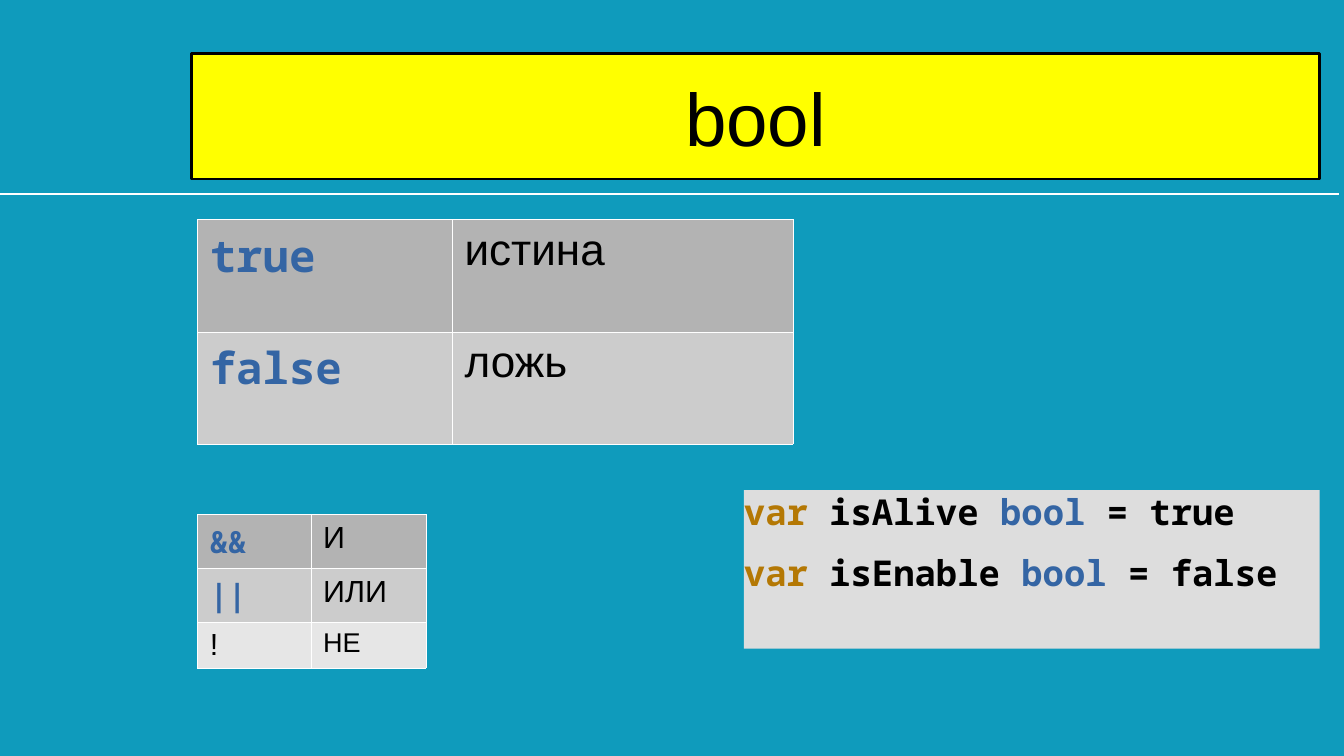
"""Build the slide about the bool type."""
from lxml.etree import SubElement
from pptx import Presentation
from pptx.dml.color import RGBColor
from pptx.enum.shapes import MSO_CONNECTOR
from pptx.enum.text import MSO_ANCHOR, MSO_AUTO_SIZE, PP_ALIGN
from pptx.oxml.ns import qn
from pptx.util import Inches, Pt

COLORS = {
    "back": "0F9BBC", "title": "FFFF00", "code": "DDDDDD", "white": "FFFFFF",
    "black": "000000", "blue": "3465A4", "orange": "B47804",
}
ROW_FILLS = ["B3B3B3", "CCCCCC", "E6E6E6"]
MONO, SANS = "Noto Sans Mono", "Arial"


def add_run(p, text, color, **formats):
    r = p.add_run()
    r.text = text
    r.font.color.rgb = RGBColor.from_string(COLORS[color])
    for name, value in formats.items():
        setattr(r.font, name, value)


def set_fill(sp, color):
    sp.fill.solid()
    sp.fill.fore_color.rgb = RGBColor.from_string(color)


prs = Presentation()
prs.slide_width, prs.slide_height = Inches(11.02), Inches(6.2)
s = prs.slides.add_slide(prs.slide_layouts[1])
set_fill(s.background, COLORS["back"])

rule = s.shapes.add_connector(
    MSO_CONNECTOR.STRAIGHT, 0, Inches(1.59), Inches(10.98), Inches(1.59))
rule.line.color.rgb = RGBColor.from_string(COLORS["white"])
rule.line.width = Pt(1.5)
SubElement(rule._element.spPr, qn("a:effectLst"))

title, body = s.shapes.title, s.placeholders[1]
for sp, box, fill, anchor in [
    (title, (1.57, 0.44, 9.25, 1.03), "title", MSO_ANCHOR.MIDDLE),
    (body, (6.1, 4.02, 4.72, 1.3), "code", MSO_ANCHOR.TOP),
]:
    sp.left, sp.top, sp.width, sp.height = map(Inches, box)
    set_fill(sp, COLORS[fill])
    formats = {"margin_left": 0, "margin_top": 0, "margin_right": 0, "margin_bottom": 0,
               "word_wrap": True, "auto_size": MSO_AUTO_SIZE.NONE, "vertical_anchor": anchor}
    for name, value in formats.items():
        setattr(sp.text_frame, name, value)

title.line.color.rgb = RGBColor.from_string(COLORS["black"])
title.line.width = Pt(1.5)
p = title.text_frame.paragraphs[0]
p.alignment = PP_ALIGN.CENTER
add_run(p, "bool", "black", size=Pt(44), name=SANS)

tf = body.text_frame
for i, (variable, value) in enumerate([("isAlive", "true"), ("isEnable", "false")]):
    p = tf.add_paragraph() if i else tf.paragraphs[0]
    pPr = p._p.get_or_add_pPr()
    pPr.set("marL", "0")
    pPr.set("indent", "0")
    SubElement(pPr, qn("a:buNone"))
    p.space_before = Pt(10.4 if i else 0)
    for text, color in [("var", "orange"), (f" {variable} ", "black"),
                        ("bool", "blue"), (f" = {value}", "black")]:
        add_run(p, text, color, size=Pt(21), name=MONO, bold=True)

code = {"color": "blue", "name": MONO, "bold": True}
plain = {"color": "black", "name": SANS, "bold": False}
tables = [
    ((1.62, 1.8, 4.88, 1.84), [2.09, 2.79], [0.92, 0.92],
     [[("true", 26, code), ("истина", 26, plain)],
      [("false", 26, code), ("ложь", 26, plain)]]),
    ((1.62, 4.22, 1.87, 1.26), [0.93, 0.94], [0.44, 0.44, 0.38],
     [[("&&", 18, code), ("И", 18, plain)],
      [("||", 18, code), ("ИЛИ", 18, plain)],
      [("!", 18, plain), ("НЕ", 16, plain)]]),
]
for box, widths, heights, rows in tables:
    table = s.shapes.add_table(len(heights), len(widths), *map(Inches, box)).table
    table.first_row = table.horz_banding = False
    for column, width in zip(table.columns, widths):
        column.width = Inches(width)
    for row, height, fill, items in zip(table.rows, heights, ROW_FILLS, rows):
        row.height = Inches(height)
        for cell, (text, size, formats) in zip(row.cells, items):
            add_run(cell.text_frame.paragraphs[0], text, size=Pt(size), **formats)
            tcPr = cell._tc.get_or_add_tcPr()
            for side in ("lnL", "lnR", "lnT", "lnB"):
                ln = SubElement(tcPr, qn(f"a:{side}"), w=str(Pt(0.06)))
                SubElement(SubElement(ln, qn("a:solidFill")), qn("a:srgbClr"), val=COLORS["white"])
            set_fill(cell, fill)

prs.save("out.pptx")
